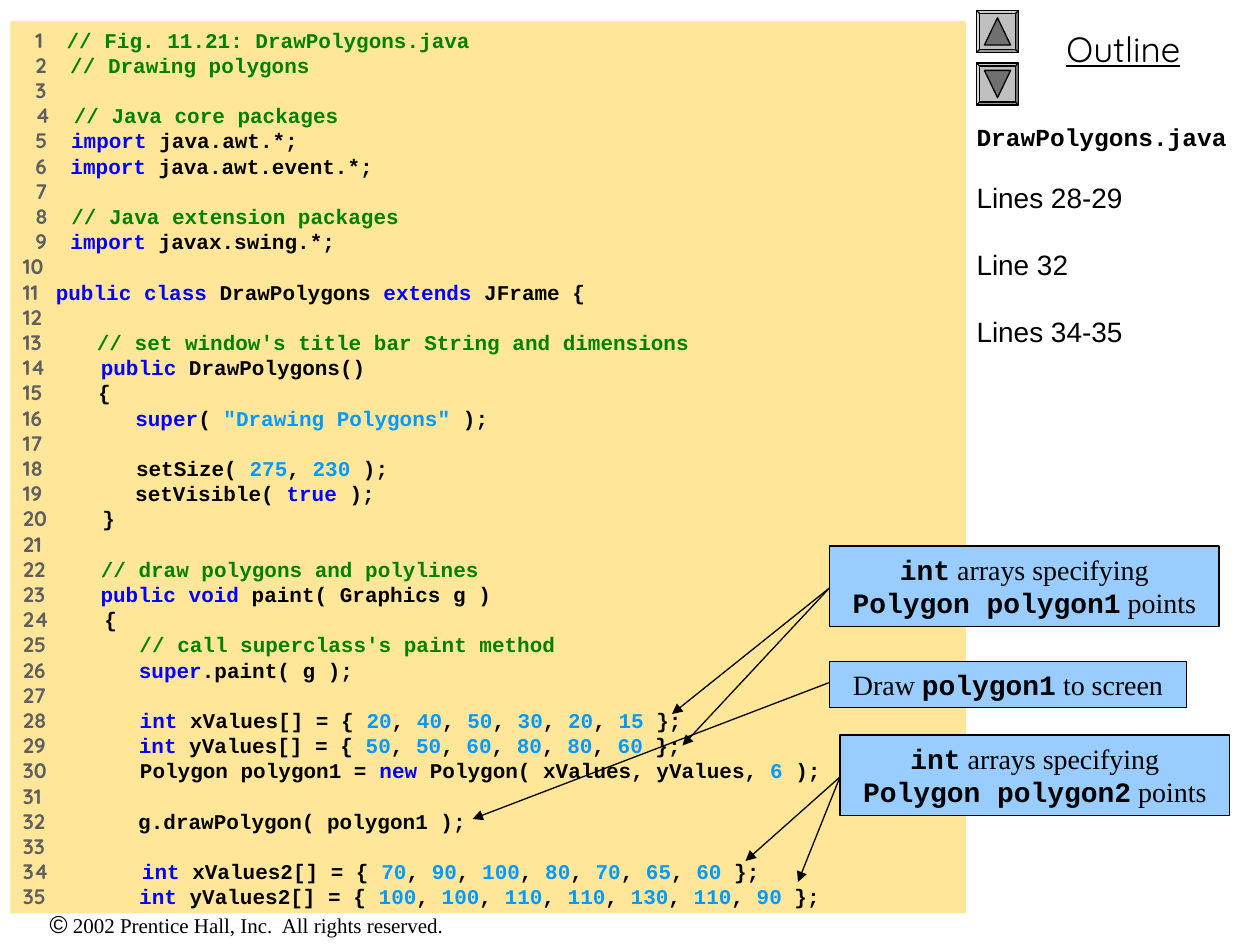
from dataclasses import dataclass
from itertools import groupby

from lxml import etree
from pptx import Presentation
from pptx.dml.color import RGBColor
from pptx.enum.shapes import MSO_CONNECTOR, MSO_SHAPE
from pptx.enum.text import MSO_ANCHOR, PP_ALIGN
from pptx.oxml.ns import qn
from pptx.util import Inches, Pt

RECTANGLE, BEVEL, TRIANGLE = MSO_SHAPE.RECTANGLE, MSO_SHAPE.BEVEL, MSO_SHAPE.ISOSCELES_TRIANGLE
STRAIGHT = MSO_CONNECTOR.STRAIGHT
TOP, CENTER, LEFT = MSO_ANCHOR.TOP, PP_ALIGN.CENTER, PP_ALIGN.LEFT
COLUMNS, ROWS = 120, 90  # grid cells of 1/12 inch


@dataclass(frozen=True)
class Theme:
    ink: str = "000000"
    panel: str = "FFE699"
    callout: str = "99CCFF"
    line_number: str = "5F5F5F"
    comment: str = "008000"
    keyword: str = "0000FF"
    literal: str = "0099FF"
    button: str = "C0C0C0"
    button_arrow: str = "707070"
    mono: str = "Courier New"
    sans: str = "Arial"
    serif: str = "Times New Roman"
    display: str = "Quicksand"
    small: float = 12
    medium: float = 14
    body: float = 16
    heading: float = 20
    leading: float = 1.2
    stroke: float = 0.75


THEME = Theme()


@dataclass(frozen=True)
class Box:
    """A region in grid columns and rows."""
    left: float
    top: float
    width: float
    height: float

    def inside(self, left, top, width, height):
        return Box(self.left + left, self.top + top, width, height)

    def emu(self):
        return [grid(v) for v in (self.left, self.top, self.width, self.height)]


KEYWORDS = {"import", "public", "class", "extends", "super", "true", "void", "int", "new"}
JAVA_IMPORTS = """\
// Fig. 11.21: DrawPolygons.java
// Drawing polygons

// Java core packages
import java.awt.*;
import java.awt.event.*;

// Java extension packages
import javax.swing.*;
"""
JAVA_CONSTRUCTOR = """\
public class DrawPolygons extends JFrame {

   // set window's title bar String and dimensions
   public DrawPolygons()
   {
      super( "Drawing Polygons" );

      setSize( 275, 230 );
      setVisible( true );
   }
"""
JAVA_PAINT = """\
   // draw polygons and polylines
   public void paint( Graphics g )
   {
      // call superclass's paint method
      super.paint( g );

      int xValues[] = { 20, 40, 50, 30, 20, 15 };
      int yValues[] = { 50, 50, 60, 80, 80, 60 };
      Polygon polygon1 = new Polygon( xValues, yValues, 6 );

      g.drawPolygon( polygon1 );

      int xValues2[] = { 70, 90, 100, 80, 70, 65, 60 };
      int yValues2[] = { 100, 100, 110, 110, 130, 110, 90 };"""


def grid(cells):
    return Inches(cells / 12)


def rgb(value):
    return RGBColor.from_string(value)


def add_panel(slide, kind, box, fill, outlined=True):
    panel = slide.shapes.add_shape(kind, *box.emu())
    panel.shadow.inherit = False
    panel.fill.solid()
    panel.fill.fore_color.rgb = rgb(fill)
    if outlined:
        panel.line.color.rgb = rgb(THEME.ink)
        panel.line.width = Pt(THEME.stroke)
    else:
        panel.line.fill.background()
    return panel


def prepare_frame(shape):
    frame = shape.text_frame
    frame.word_wrap = True
    frame.vertical_anchor = TOP
    return frame


def add_run(paragraph, text, font, size, color=THEME.ink, bold=False):
    run = paragraph.add_run()
    run.text = text
    run.font.name, run.font.size, run.font.bold = font, Pt(size), bold
    run.font.color.rgb = rgb(color)
    return run


def add_line(frame, index, align, size):
    paragraph = frame.add_paragraph() if index else frame.paragraphs[0]
    paragraph.alignment = align
    paragraph.line_spacing = Pt(size * THEME.leading)
    return paragraph


def colored_words(line):
    """Yield (text, color) for each part of a line of Java."""
    if line.strip().startswith("//"):
        yield line, THEME.comment
        return
    for index, part in enumerate(line.split('"')):
        if index % 2:
            yield f'"{part}"', THEME.literal
            continue
        for _, letters in groupby(part, str.isalnum):
            word = "".join(letters)
            if word in KEYWORDS:
                yield word, THEME.keyword
            else:
                yield word, THEME.literal if word.isdigit() else THEME.ink


def add_code(slide, box):
    frame = prepare_frame(add_panel(slide, RECTANGLE, box, THEME.panel, outlined=False))
    size = THEME.small
    source = "\n".join((JAVA_IMPORTS, JAVA_CONSTRUCTOR, JAVA_PAINT))
    for index, line in enumerate(source.split("\n")):
        number = str(index + 1)
        paragraph = add_line(frame, index, LEFT, size)
        if len(number) == 1:
            add_run(paragraph, " ", THEME.mono, size, bold=True)
        gap = " " * (5 - len(number))
        add_run(paragraph, number + gap, THEME.display, size, THEME.line_number, True)
        for color, words in groupby(colored_words(line), lambda word: word[1]):
            text = "".join(word for word, _ in words)
            add_run(paragraph, text, THEME.mono, size, color, True)


def add_button(slide, box, rotation):
    add_panel(slide, BEVEL, box, THEME.button).adjustments[0] = 0.07
    arrow_box = box.inside(0.75, 0.7, 2.5, 2.6)
    add_panel(slide, TRIANGLE, arrow_box, THEME.button_arrow).rotation = rotation


def add_outline(slide, box):
    for top, rotation in ((0, 0), (5, 180)):
        add_button(slide, box.inside(0, top, 4, 4), rotation)
    heading = prepare_frame(slide.shapes.add_textbox(*box.inside(1, 1, 26, 5.3).emu()))
    heading.paragraphs[0].alignment = CENTER
    add_run(heading.paragraphs[0], "Outline", THEME.display, THEME.heading).font.underline = True

    notes = prepare_frame(slide.shapes.add_textbox(*box.inside(0, 10, 27, 79).emu()))
    notes.margin_left = 0
    entries = [("DrawPolygons.java", THEME.mono, THEME.medium)]
    entries += [(text, THEME.sans, THEME.body) for text in ("Lines 28-29", "Line 32", "Lines 34-35")]
    for index, (text, font, size) in enumerate(entries):
        paragraph = add_line(notes, index, LEFT, size)
        if index:
            paragraph.space_before = Pt(entries[index - 1][2] * THEME.leading)
        add_run(paragraph, text, font, size, bold=font == THEME.mono)


def add_arrow(slide, start, end):
    arrow = slide.shapes.add_connector(STRAIGHT, *map(grid, (*start, *end)))
    arrow.line.color.rgb = rgb(THEME.ink)
    arrow.line.width = Pt(THEME.stroke)
    outline = arrow._element.spPr.find(qn("a:ln"))
    etree.SubElement(outline, qn("a:tailEnd"), type="triangle")
    etree.SubElement(arrow._element.spPr, qn("a:effectLst"))


def add_callout(slide, box, parts, drop, targets):
    """Place a note whose arrows start `drop` rows below its top left corner."""
    paragraph = add_line(prepare_frame(add_panel(slide, RECTANGLE, box, THEME.callout)),
                         0, CENTER, THEME.body)
    for text, is_code in parts:
        add_run(paragraph, text, THEME.mono if is_code else THEME.serif, THEME.body, bold=is_code)
    for target in targets:
        add_arrow(slide, (box.left, box.top + drop), target)


def array_note(polygon):
    return [("int", True), (" arrays specifying ", False),
            (f"Polygon {polygon}", True), (" points", False)]


def add_footer(slide, box):
    paragraph = prepare_frame(slide.shapes.add_textbox(*box.emu())).paragraphs[0]
    paragraph.alignment = CENTER
    add_run(paragraph, "©", THEME.sans, THEME.medium)
    rights = " 2002 Prentice Hall, Inc.  All rights reserved."
    add_run(paragraph, rights, THEME.serif, THEME.small)


def main():
    deck = Presentation()
    deck.slide_width, deck.slide_height = grid(COLUMNS), grid(ROWS)
    slide = deck.slides.add_slide(deck.slide_layouts[6])
    add_footer(slide, Box(0, 86, 47, 4))
    add_code(slide, Box(1, 2, 91, 85))
    add_outline(slide, Box(93, 1, 27, 89))
    add_callout(slide, Box(79, 52, 37.1, 7.7), array_note("polygon1"), 4, [(64, 68), (65, 71)])
    add_callout(slide, Box(80, 70, 37.1, 7.7), array_note("polygon2"), 4, [(71, 82), (76, 84)])
    draw_note = [("Draw ", False), ("polygon1", True), (" to screen", False)]
    add_callout(slide, Box(79, 63, 34, 4.4), draw_note, 2, [(45, 78)])
    deck.save("out.pptx")


if __name__ == "__main__":
    main()
